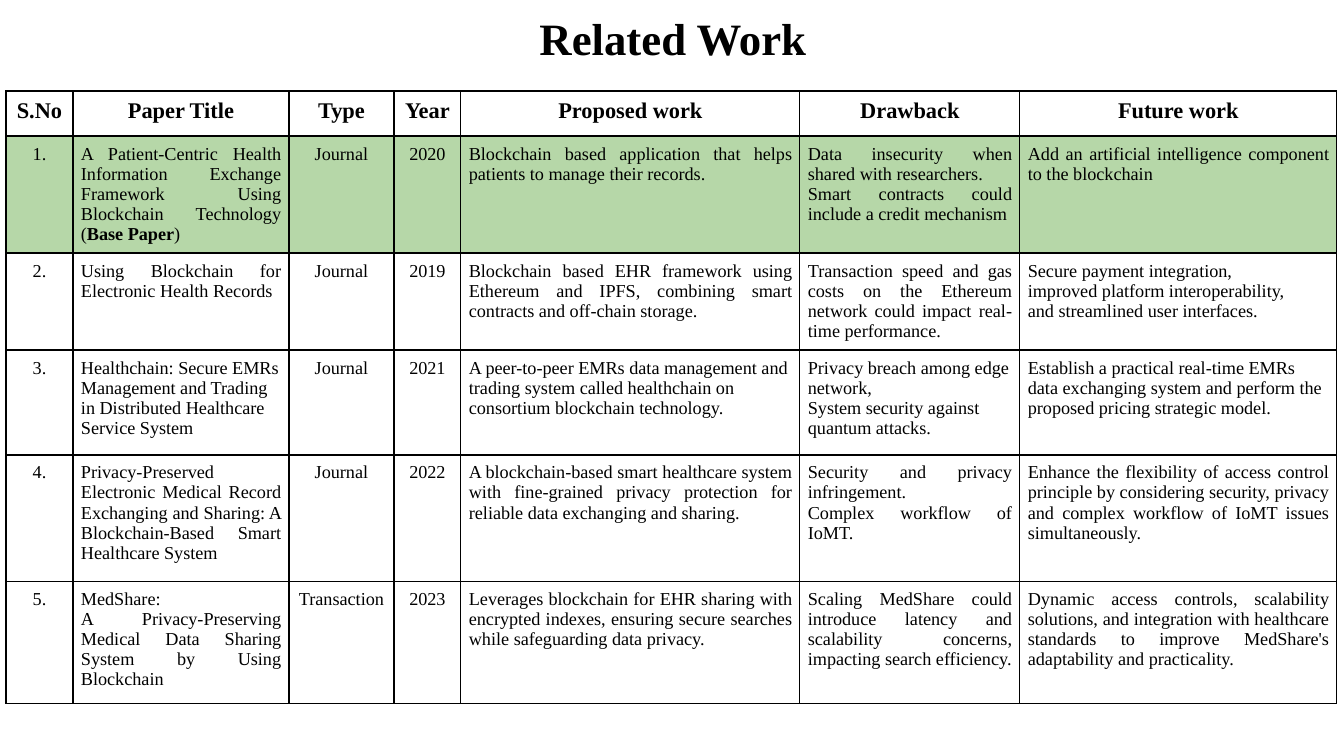
import pptx
import pptx.dml.color
import pptx.enum.text
import pptx.oxml
import pptx.oxml.ns
import pptx.util

PX = 9071.43  # EMU in one px
ALIGN = pptx.enum.text.PP_ALIGN
MIDDLE = pptx.enum.text.MSO_ANCHOR.MIDDLE
THEME = {
    "font": "Times New Roman",
    "black": "000000",
    "white": "FFFFFF",
    "highlight": "B6D7A8",
    "title": 32,
    "header": 16,
    "body": 13,
    "border": 1,
}


def px(length):
    return pptx.util.Emu(round(length * PX))


def add_span(para, text, size, bold):
    span = para.add_run()
    span.text = text
    look = {"name": THEME["font"], "size": pptx.util.Pt(size), "bold": bold}
    for key, value in look.items():
        setattr(span.font, key, value)
    span.font.color.rgb = pptx.dml.color.RGBColor.from_string(THEME["black"])


# Deck and page
deck = pptx.Presentation()
deck.slide_width, deck.slide_height = px(1344), px(756)
page = deck.slides.add_slide(deck.slide_layouts[5])

# Title
title = page.shapes.title
place = {"left": px(10), "top": px(0), "width": px(1326), "height": px(83)}
for key, value in place.items():
    setattr(title, key, value)
title.text_frame.auto_size = pptx.enum.text.MSO_AUTO_SIZE.NONE
title.text_frame.vertical_anchor = MIDDLE
para = title.text_frame.paragraphs[0]
para.alignment = ALIGN.CENTER
para.line_spacing = 0.9
add_span(para, "Related Work", THEME["title"], True)

# Table content: a line break starts a paragraph, ** switches bold
headers = ["S.No", "Paper Title", "Type", "Year", "Proposed work", "Drawback", "Future work"]
papers = [
    ["A Patient-Centric Health Information Exchange Framework Using Blockchain Technology (**Base Paper**)",
     "Journal", "2020",
     "Blockchain based application that helps patients to manage their records.",
     "Data insecurity when shared with researchers.\nSmart contracts could include a credit mechanism",
     "Add an artificial intelligence component to the blockchain"],
    ["Using Blockchain for Electronic Health Records",
     "Journal", "2019",
     "Blockchain based EHR framework using Ethereum and IPFS, combining smart contracts "
     "and off-chain storage.",
     "Transaction speed and gas costs on the Ethereum network could impact real-time performance.",
     "Secure payment integration,\nimproved platform interoperability,\nand streamlined user interfaces."],
    ["Healthchain: Secure EMRs Management and Trading in Distributed Healthcare Service System",
     "Journal", "2021",
     "A peer-to-peer EMRs data management and trading system called healthchain on "
     "consortium blockchain technology.",
     "Privacy breach among edge network,\nSystem security against quantum attacks.",
     "Establish a practical real-time EMRs data exchanging system and perform the "
     "proposed pricing strategic model."],
    ["Privacy-Preserved Electronic Medical Record Exchanging and Sharing: "
     "A Blockchain-Based Smart Healthcare System",
     "Journal", "2022",
     "A blockchain-based smart healthcare system with fine-grained privacy protection "
     "for reliable data exchanging and sharing.",
     "Security and privacy infringement.\nComplex workflow of IoMT.",
     "Enhance the flexibility of access control principle by considering security, "
     "privacy and complex workflow of IoMT issues simultaneously."],
    ["MedShare:\nA Privacy-Preserving Medical Data Sharing System by Using Blockchain",
     "Transaction", "2023",
     "Leverages blockchain for EHR sharing with encrypted indexes, ensuring secure "
     "searches while safeguarding data privacy.",
     "Scaling MedShare could introduce latency and scalability concerns, impacting "
     "search efficiency.",
     "Dynamic access controls, scalability solutions, and integration with healthcare "
     "standards to improve MedShare's adaptability and practicality."],
]
rows = [headers] + [[f"{number}."] + paper for number, paper in enumerate(papers, 1)]
widths = [67, 216, 105, 67, 339, 220, 317]
heights = [45, 117, 97, 105, 127, 122]
CENTERED_COLUMNS = {0, 2, 3}
HIGHLIGHT_ROW = 1
LEFT_ROW = 3

# Table grid
table = page.shapes.add_table(
    len(rows), len(headers), px(6), px(91), px(sum(widths)), px(sum(heights))
).table
table.first_row = table.horz_banding = False
for column, width in zip(table.columns, widths):
    column.width = px(width)
for row, height in zip(table.rows, heights):
    row.height = px(height)

# Cells
for r, texts in enumerate(rows):
    for c, text in enumerate(texts):
        cell = table.cell(r, c)
        for side in ("left", "right", "top", "bottom"):
            setattr(cell, f"margin_{side}", px(8))

        # Borders come before the fill in the cell properties
        properties = cell._tc.get_or_add_tcPr()
        for edge in ("lnL", "lnR", "lnT", "lnB"):
            properties.append(pptx.oxml.parse_xml(
                f'<a:{edge} {pptx.oxml.ns.nsdecls("a")} w="{pptx.util.Pt(THEME["border"])}">'
                f'<a:solidFill><a:srgbClr val="{THEME["black"]}"/></a:solidFill></a:{edge}>'))
        cell.fill.solid()
        color = THEME["highlight" if r == HIGHLIGHT_ROW else "white"]
        cell.fill.fore_color.rgb = pptx.dml.color.RGBColor.from_string(color)

        # Text
        is_header = r == 0
        if is_header or c in CENTERED_COLUMNS:
            alignment = ALIGN.CENTER
        else:
            alignment = ALIGN.LEFT if r == LEFT_ROW else ALIGN.JUSTIFY
        for index, line in enumerate(text.split("\n")):
            box = cell.text_frame
            para = box.add_paragraph() if index else box.paragraphs[0]
            para.alignment = alignment
            for part, words in enumerate(line.split("**")):
                add_span(para, words, THEME["header" if is_header else "body"],
                         is_header or part % 2 == 1)

deck.save("out.pptx")
